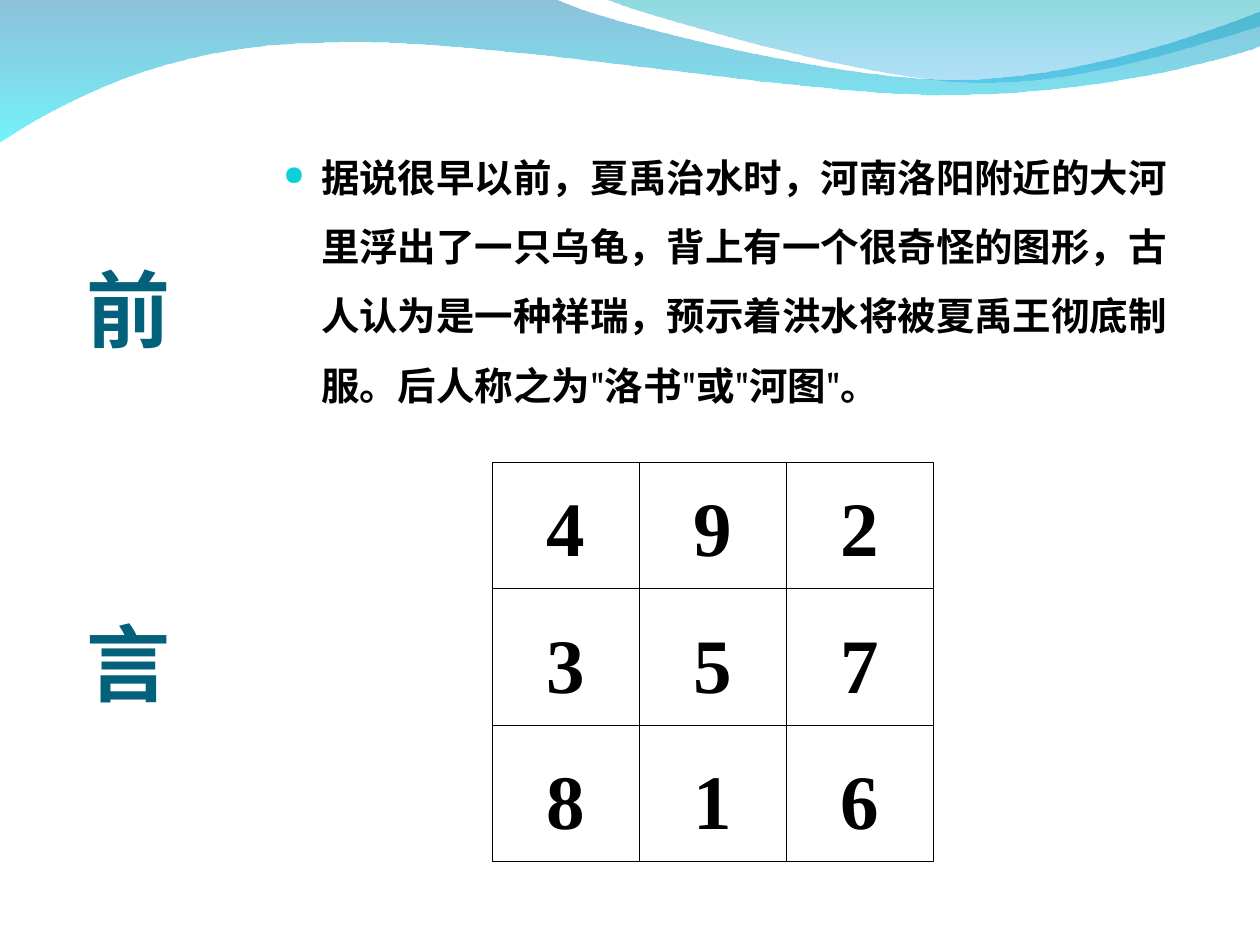
from lxml import etree
from pptx import Presentation
from pptx.dml.color import RGBColor
from pptx.enum.shapes import MSO_CONNECTOR, MSO_SHAPE
from pptx.enum.text import MSO_ANCHOR, PP_ALIGN
from pptx.oxml.ns import qn
from pptx.util import Inches, Pt

RECT = MSO_SHAPE.RECTANGLE
LINE = MSO_CONNECTOR.STRAIGHT
MID = MSO_ANCHOR.MIDDLE
LEFT, MIDDLE = PP_ALIGN.LEFT, PP_ALIGN.CENTER

# Content
TITLE = ["前", "言"]
STORY = ('据说很早以前，夏禹治水时，河南洛阳附近的大河里浮出了一只乌龟，'
         '背上有一个很奇怪的图形，古人认为是一种祥瑞，预示着洪水将被夏禹王彻底制服。'
         '后人称之为"洛书"或"河图"。')
SQUARE = [[4, 9, 2], [3, 5, 7], [8, 1, 6]]

# Waves: start point, then line ends (2 numbers) or curves (6 numbers);
# gradient stops are colour and opacity in percent
WAVES = [
    ([(0, -0.01), (4.4, -0.01),
      (4.76, 0.17, 6.64, 0.63, 7.58, 0.63), (8.53, 0.63, 9.58, 0.26, 10, 0.09),
      (10.01, 0.36),
      (9.83, 0.44, 8.7, 0.76, 7.46, 0.75), (6.22, 0.75, 3.82, 0.28, 2.57, 0.34),
      (1.29, 0.35, 0.46, 0.83, -0.01, 1.13)],
     [("0079AF", 45), ("00EBF8", 55)]),
    ([(4.79, -0.01),
      (5.09, 0.11, 6.82, 0.62, 7.69, 0.65), (8.56, 0.69, 9.61, 0.32, 10, 0.21),
      (10, 0)],
     [("00ADB6", 45), ("009BE5", 30)]),
]
UNIT = 1000  # path units to the inch

# Number square
GRID_X, GRID_Y, GRID_W, GRID_H = 3.91, 3.67, 3.5, 3.17
ROWS = [4.67, 5.76]
COL_W = GRID_W / 3
DIGIT_W, DIGIT_H, DIGIT_Y, DIGIT_GAP = 0.83, 0.84, 3.76, 1.08


def color(code):
    return RGBColor.from_string(code)


def add_wave(shapes, path, stops):
    ends = [tuple(round(n * UNIT) for n in part[-2:]) for part in path]
    left, top = (min(axis) for axis in zip(*ends))
    build = shapes.build_freeform(*ends[0], scale=Inches(1) / UNIT)
    build.add_line_segments(ends[1:], close=True)
    wave = build.convert_to_shape()
    wave.shadow.inherit = False
    wave.line.fill.background()

    # Bend the segments that carry control points
    lines = list(wave._element.spPr.iter(qn("a:lnTo")))
    for line, part in zip(lines, path[1:]):
        if len(part) == 6:
            curve = etree.Element(qn("a:cubicBezTo"))
            for x, y in zip(part[::2], part[1::2]):
                etree.SubElement(curve, qn("a:pt"), x=str(round(x * UNIT) - left),
                                 y=str(round(y * UNIT) - top))
            line.getparent().replace(line, curve)

    wave.fill.gradient()
    wave.fill.gradient_angle = 270
    for stop, (code, share) in zip(wave.fill.gradient_stops, stops):
        stop.color.rgb = color(code)
    tags = wave._element.spPr.iter(qn("a:srgbClr"))
    for tag, (code, share) in zip(tags, stops):
        etree.SubElement(tag, qn("a:alpha"), val=str(share * 1000))


def add_rule(shapes, x1, y1, x2, y2):
    rule = shapes.add_connector(LINE, *map(Inches, (x1, y1, x2, y2)))
    rule.line.color.rgb = color("000000")
    rule.line.width = Pt(0.75)
    etree.SubElement(rule._element.spPr, qn("a:effectLst"))


def add_box(shapes, x, y, w, h):
    frame = shapes.add_textbox(*map(Inches, (x, y, w, h))).text_frame
    frame.word_wrap = True
    return frame


def add_run(para, text, size, font, code, align=LEFT):
    para.alignment = align
    run = para.add_run()
    run.text = text
    run.font.size = Pt(size)
    run.font.name = font
    run.font.bold = True
    run.font.color.rgb = color(code)


def add_bullet(para):
    props = para._p.get_or_add_pPr()
    props.set("marL", str(Inches(0.3)))
    props.set("indent", str(Inches(-0.3)))
    tint = etree.SubElement(props, qn("a:buClr"))
    etree.SubElement(tint, qn("a:srgbClr"), val="0BD0D9")
    etree.SubElement(props, qn("a:buSzPct"), val="70000")
    etree.SubElement(props, qn("a:buChar"), char="●")


deck = Presentation()
deck.slide_width, deck.slide_height = Inches(10), Inches(7.5)
shapes = deck.slides.add_slide(deck.slide_layouts[6]).shapes

# Waves along the top
for path, stops in WAVES:
    add_wave(shapes, path, stops)

# Story
para = add_box(shapes, 2.15, 0.99, 7.39, 2.44).paragraphs[0]
add_bullet(para)
para.line_spacing = 1.5
add_run(para, STORY, 22, "Vollkorn", "000000")

# Number square: frame, rules, digits
group = shapes.add_group_shape().shapes
frame = group.add_shape(RECT, *map(Inches, (GRID_X, GRID_Y, GRID_W, GRID_H)))
frame.shadow.inherit = False
frame.fill.solid()
frame.fill.fore_color.rgb = color("FFFFFF")
frame.line.color.rgb = color("000000")
frame.line.width = Pt(0.75)
for y in ROWS:
    add_rule(group, GRID_X, y, GRID_X + GRID_W, y)
for col in (1, 2):
    x = GRID_X + col * COL_W
    add_rule(group, x, GRID_Y, x, GRID_Y + GRID_H)
for r, row in enumerate(SQUARE):
    for c, digit in enumerate(row):
        x = GRID_X + c * COL_W + (COL_W - DIGIT_W) / 2
        cell = add_box(group, x, DIGIT_Y + r * DIGIT_GAP, DIGIT_W, DIGIT_H)
        add_run(cell.paragraphs[0], str(digit), 44, "Times New Roman",
                "000000", MIDDLE)

# Title, one character above the other
title = add_box(shapes, 0.59, 2.49, 0.87, 2.91)
title.vertical_anchor = MID
for i, char in enumerate(TITLE):
    para = title.add_paragraph() if i else title.paragraphs[0]
    para.line_spacing = 0.7
    if i:
        para.space_before = Pt(162)
    add_run(para, char, 48, "Calibri", "04617B")

deck.save("out.pptx")
